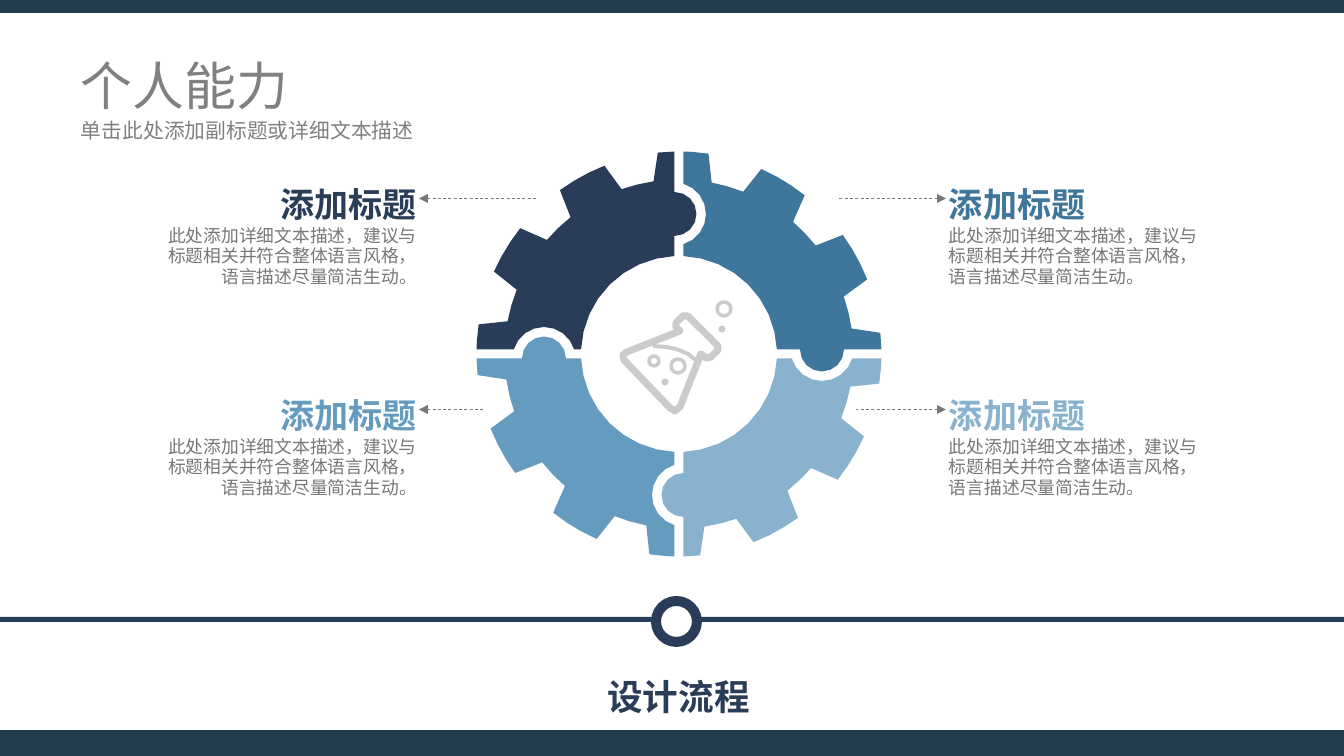
from math import asin, atan2, cos, degrees, hypot, radians, sin, sqrt

from pptx import Presentation
from pptx.dml.color import RGBColor
from pptx.enum.dml import MSO_LINE
from pptx.enum.shapes import MSO_CONNECTOR, MSO_SHAPE
from pptx.enum.text import MSO_ANCHOR, MSO_AUTO_SIZE, PP_ALIGN
from pptx.oxml.ns import qn
from pptx.util import Pt

RECT, OVAL = MSO_SHAPE.RECTANGLE, MSO_SHAPE.OVAL
LEFT, CENTER, RIGHT = PP_ALIGN.LEFT, PP_ALIGN.CENTER, PP_ALIGN.RIGHT
TOP, MIDDLE = MSO_ANCHOR.TOP, MSO_ANCHOR.MIDDLE
FONT = "Noto Sans CJK SC"
NAVY, BAND, WHITE = "2A3D58", "213C4B", "FFFFFF"
GREY, TEXT_GREY, ICON_GREY = "808080", "777777", "CBCBCB"
EMU_PER_PX = 8572.5
W, H = 1344, 756

TITLE = "个人能力"
SUBTITLE = "单击此处添加副标题或详细文本描述"
FOOTER = "设计流程"
HEADING = "添加标题"
BODY = "此处添加详细文本描述，建议与标题相关并符合整体语言风格，语言描述尽量简洁生动。"

# Clockwise from top left: colour, distance of the knob from the gear centre,
# text side, heading top, arrow tip x, arrow tail x
QUARTERS = [
    (NAVY, 140, RIGHT, 179, 419, 537),
    ("3F769B", 143, LEFT, 179, 946, 838),
    ("88B2CE", 141, LEFT, 390, 946, 856),
    ("659BBF", 135, RIGHT, 390, 419, 484),
]

GEAR_CENTER = (679, 354)
R_TIP, R_ROOT, R_HOLE = 202.5, 174.5, 98
HALF_GAP, R_KNOB, R_NOTCH = 4.5, 22, 31.5
TOOTH_ANGLES = [-88.8, -58.8, -28.8, 1.2]
# One tooth: angle from its middle, radius
TOOTH = [(-9.6, R_ROOT), (-7.2, R_TIP), (-2.4, R_TIP), (2.4, R_TIP),
         (7.2, R_TIP), (9.6, R_ROOT), (15, R_ROOT)]

FLASK = [(627, 352), (623, 355), (624, 360), (670, 408), (675, 411), (680, 407),
         (701, 354), (706, 358), (711, 357), (718, 350), (718, 346), (688, 316),
         (683, 316), (676, 323), (676, 327), (680, 331)]
LIQUID = [(653, 346), (667, 347), (679, 350), (688, 354), (697, 361)]
RINGS = [(678, 366, 7), (724, 309, 7), (654, 361, 5)]
BUBBLES = [(665, 382, 3.5), (722, 329, 3.5)]


def px(n):
    return round(n * EMU_PER_PX)


def rgb(color):
    return RGBColor.from_string(color)


def paint(s, fill=None, line=None, width=0):
    s.shadow.inherit = False
    if fill:
        s.fill.solid()
        s.fill.fore_color.rgb = rgb(fill)
    else:
        s.fill.background()
    if line:
        s.line.color.rgb = rgb(line)
        s.line.width = px(width)
    else:
        s.line.fill.background()


def add_shape(kind, x, y, w, h, **look):
    s = slide.shapes.add_shape(kind, px(x), px(y), px(w), px(h))
    paint(s, **look)


def add_circle(x, y, r, **look):
    add_shape(OVAL, x - r, y - r, 2 * r, 2 * r, **look)


def add_outline(points, close=True, **look):
    pts = [(px(x), px(y)) for x, y in points]
    builder = slide.shapes.build_freeform(*pts[0])
    builder.add_line_segments(pts[1:], close=close)
    s = builder.convert_to_shape()
    paint(s, **look)
    if look.get("line"):
        ln = s.line._get_or_add_ln()
        ln.append(ln.makeelement(qn("a:round"), {}))


def put_text(s, text, box, size, color, bold=False, align=LEFT, anchor=TOP, inset=(4, 4)):
    s.left, s.top, s.width, s.height = map(px, box)
    tf = s.text_frame
    tf.word_wrap = True
    tf.auto_size = MSO_AUTO_SIZE.NONE
    tf.vertical_anchor = anchor
    tf.margin_left = tf.margin_right = px(inset[0])
    tf.margin_top = tf.margin_bottom = px(inset[1])
    p = tf.paragraphs[0]
    p.alignment = align
    p.space_before = Pt(0)
    p.line_spacing = Pt(round(size * 1.2))
    r = p.add_run()
    r.text = text
    r.font.size, r.font.bold, r.font.name = Pt(size), bold, FONT
    r.font.color.rgb = rgb(color)
    rPr = r._r.get_or_add_rPr()
    rPr.append(rPr.makeelement(qn("a:ea"), {"typeface": FONT}))
    return p


def add_text(text, box, size, color, **look):
    put_text(slide.shapes.add_textbox(0, 0, 0, 0), text, box, size, color, **look)


def add_dashed_arrow(tip_x, tail_x, y):
    c = slide.shapes.add_connector(MSO_CONNECTOR.STRAIGHT, px(tip_x), px(y), px(tail_x), px(y))
    c.line.color.rgb = rgb(TEXT_GREY)
    c.line.width = Pt(0.5)
    c.line.dash_style = MSO_LINE.DASH
    ln = c.line._get_or_add_ln()
    ln.append(ln.makeelement(qn("a:headEnd"), {"type": "triangle"}))
    spPr = c._element.spPr
    spPr.append(spPr.makeelement(qn("a:effectLst"), {}))


def arc(cx, cy, r, start, end, steps=8):
    """Points on a circle, with angles in degrees clockwise from the top."""
    angles = [radians(start + (end - start) * i / steps) for i in range(steps + 1)]
    return [(cx + r * sin(a), cy - r * cos(a)) for a in angles]


def gear_quarter(knob, notch):
    """Top left quarter around (0, 0): a knob on its right edge, a notch in its bottom edge."""
    edge = sqrt(R_TIP ** 2 - HALF_GAP ** 2)
    pts = [(-edge, -HALF_GAP)]
    for middle in TOOTH_ANGLES:
        for offset, r in TOOTH:
            a = radians(middle + offset)
            x, y = r * sin(a), -r * cos(a)
            if max(x, y) < -HALF_GAP:
                pts.append((x, y))
    pts.append((-HALF_GAP, -edge))
    pts += arc(-HALF_GAP, -knob, R_KNOB, 0, 180)
    trim = degrees(asin(HALF_GAP / R_HOLE))
    pts += arc(0, 0, R_HOLE, -trim, trim - 90)
    reach = 90 - degrees(asin(2 * HALF_GAP / R_NOTCH))
    return pts + arc(-notch, HALF_GAP, R_NOTCH, reach, -reach)


def place(points, turn):
    """Turn points clockwise about the gear centre and move them there."""
    placed = []
    for x, y in points:
        a, r = atan2(y, x) + radians(turn), hypot(x, y)
        placed.append((GEAR_CENTER[0] + r * cos(a), GEAR_CENTER[1] + r * sin(a)))
    return placed


prs = Presentation()
prs.slide_width, prs.slide_height = px(W), px(H)
slide = prs.slides.add_slide(prs.slide_layouts[1])

put_text(slide.shapes.title, TITLE, (67, 58, 1210, 54), 35, GREY, anchor=MIDDLE, inset=(14, 6))
p = put_text(slide.placeholders[1], SUBTITLE, (67, 111, 1210, 45), 14, GREY, inset=(14, 6))
pPr = p._p.get_or_add_pPr()
pPr.set("marL", "0")
pPr.set("indent", "0")
pPr.append(pPr.makeelement(qn("a:buNone"), {}))

for i, (color, knob, side, top, tip_x, tail_x) in enumerate(QUARTERS):
    add_outline(place(gear_quarter(knob, QUARTERS[i - 1][1]), 90 * i), fill=color)
    body_x, heading_x = (159, 180) if side == RIGHT else (945, 945)
    add_text(BODY, (body_x, top + 42, 262, 74), 12, TEXT_GREY, align=side)
    add_text(HEADING, (heading_x, top, 241, 50), 23, color, bold=True, align=side)
    add_dashed_arrow(tip_x, tail_x, top + 19.5)

add_outline(FLASK, line=ICON_GREY, width=7)
add_outline(LIQUID, close=False, line=ICON_GREY, width=4)
for x, y, r in RINGS:
    add_circle(x, y, r, line=ICON_GREY, width=3.5)
for x, y, r in BUBBLES:
    add_circle(x, y, r, fill=ICON_GREY)

add_shape(RECT, 0, 617, 655, 5, fill=NAVY)
add_shape(RECT, 678, 617, W - 678, 5, fill=NAVY)
add_circle(676.5, 621.5, 20.5, fill=WHITE, line=NAVY, width=10)
add_text(FOOTER, (526, 671, 305, 52), 24, NAVY, bold=True, align=CENTER)

for y, h in [(0, 13), (730, 26)]:
    add_shape(RECT, 0, y, W, h, fill=BAND)

prs.save("out.pptx")
